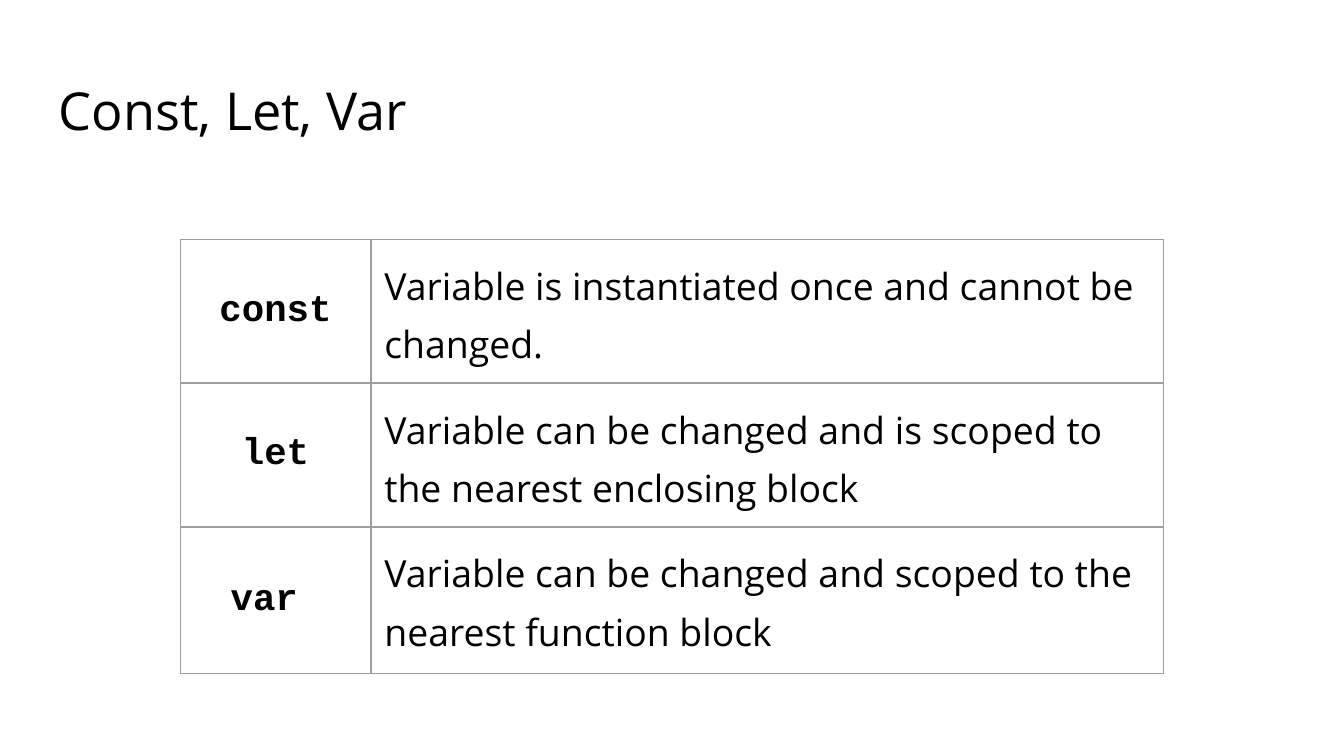
from lxml.etree import SubElement
from pptx import Presentation
from pptx.dml.color import RGBColor
from pptx.enum.text import MSO_ANCHOR as Anchor, PP_ALIGN as Align
from pptx.oxml.ns import qn
from pptx.util import Inches, Pt

BLACK = RGBColor(0x00, 0x00, 0x00)
BORDER_GRAY = RGBColor(0x9E, 0x9E, 0x9E)
BODY_FONT = "Open Sans"
CODE_FONT = "Courier New"
PADDING = Inches(0.1)
SLIDE_WIDTH = Inches(10)
SLIDE_HEIGHT = SLIDE_WIDTH * 9 // 16
COLUMN_WIDTHS = (1.42, 5.9)
ROW_HEIGHTS = (1.07, 1.07, 1.09)
KEYWORDS = (
    ("const", "Variable is instantiated once and cannot be changed."),
    ("let", "Variable can be changed and is scoped to the nearest enclosing block"),
    ("var ", "Variable can be changed and scoped to the nearest function block"),
)


def write_text(frame, text, size=20, font=BODY_FONT, bold=False,
               align=Align.LEFT, spacing=1.0):
    paragraph = frame.paragraphs[0]
    paragraph.alignment = align
    paragraph.line_spacing = spacing
    run = paragraph.add_run()
    run.text = text
    run.font.size = Pt(size)
    run.font.name = font
    run.font.bold = bold
    run.font.color.rgb = BLACK


def set_padding(target):
    for side in ("left", "right", "top", "bottom"):
        setattr(target, f"margin_{side}", PADDING)


def add_borders(cell):
    properties = cell._tc.get_or_add_tcPr()
    for edge in ("a:lnL", "a:lnR", "a:lnT", "a:lnB"):
        line = SubElement(properties, qn(edge), w=str(Pt(0.75)))
        fill = SubElement(line, qn("a:solidFill"))
        SubElement(fill, qn("a:srgbClr"), val=str(BORDER_GRAY))


def fill_cell(cell, text, anchor=Anchor.TOP, **text_format):
    set_padding(cell)
    cell.vertical_anchor = anchor
    add_borders(cell)
    cell.fill.background()
    write_text(cell.text_frame, text, **text_format)


def add_title(slide, text):
    shape = slide.shapes.add_textbox(Inches(0.34), Inches(0.5), Inches(9.32), Inches(0.63))
    frame = shape.text_frame
    frame.word_wrap = True
    frame.vertical_anchor = Anchor.MIDDLE
    set_padding(frame)
    write_text(frame, text, size=28)


def add_keyword_table(slide):
    shape = slide.shapes.add_table(
        len(KEYWORDS), len(COLUMN_WIDTHS), Inches(1.34), Inches(1.78),
        Inches(sum(COLUMN_WIDTHS)), Inches(sum(ROW_HEIGHTS)))
    table = shape.table
    table.first_row = False
    table.horz_banding = False
    for column, width in zip(table.columns, COLUMN_WIDTHS):
        column.width = Inches(width)
    for row, height, (keyword, meaning) in zip(table.rows, ROW_HEIGHTS, KEYWORDS):
        row.height = Inches(height)
        keyword_cell, meaning_cell = row.cells
        fill_cell(keyword_cell, keyword, anchor=Anchor.MIDDLE,
                  font=CODE_FONT, bold=True, align=Align.CENTER)
        fill_cell(meaning_cell, meaning, spacing=1.15)


def main():
    presentation = Presentation()
    presentation.slide_width = SLIDE_WIDTH
    presentation.slide_height = SLIDE_HEIGHT
    slide = presentation.slides.add_slide(presentation.slide_layouts[6])
    add_keyword_table(slide)
    add_title(slide, "Const, Let, Var")
    presentation.save("out.pptx")


if __name__ == "__main__":
    main()
